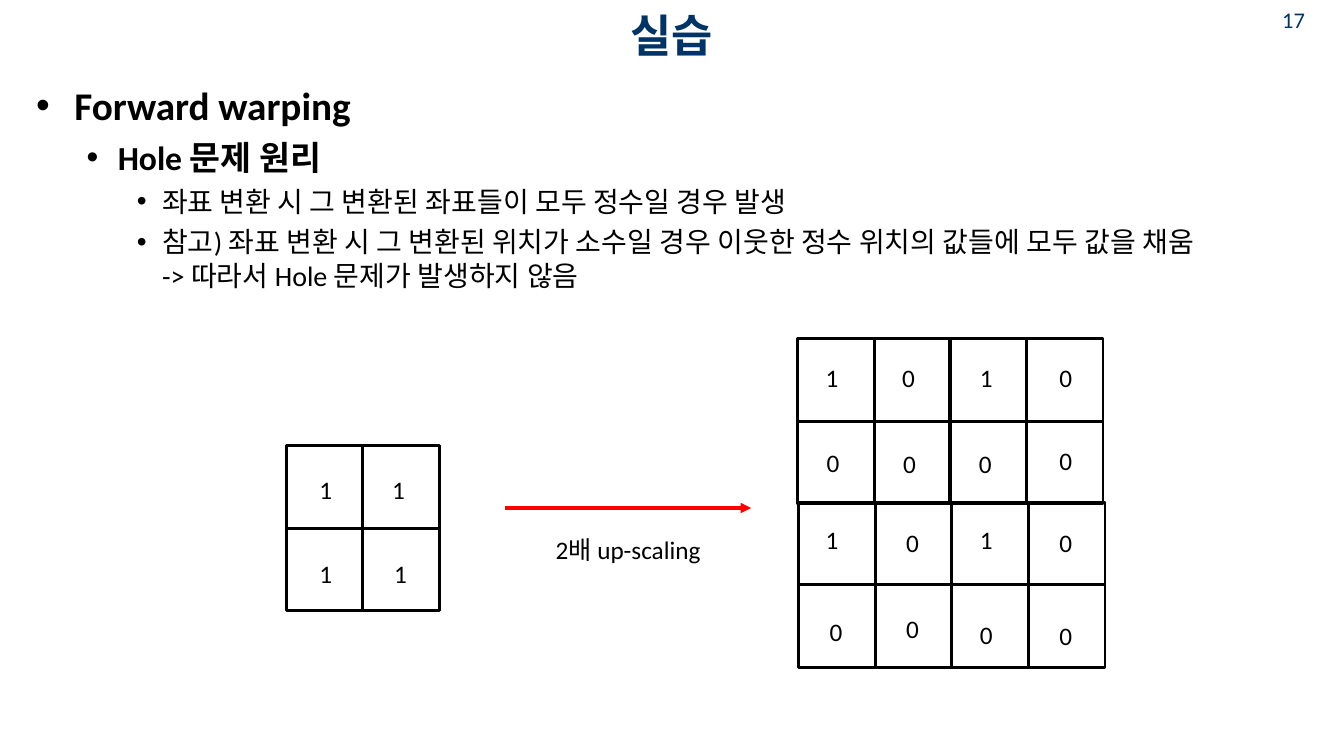
from lxml import etree
from pptx import Presentation
from pptx.dml.color import RGBColor
from pptx.enum.shapes import MSO_CONNECTOR, MSO_SHAPE
from pptx.enum.text import MSO_ANCHOR, MSO_AUTO_SIZE, PP_ALIGN
from pptx.oxml.ns import qn
from pptx.util import Emu, Pt

FONT = "Calibri"
COLORS = {"ink": "000000", "navy": "003366", "red": "FF0000"}
CELL_W, CELL_H = 76, 82

POINTS = [
    (0, 28, True, 38, 38, 0, ["Forward warping"]),
    (1, 24, True, 81, 31, 6, ["Hole 문제 원리"]),
    (2, 20, False, 125, 25, 5, ["좌표 변환 시 그 변환된 좌표들이 모두 정수일 경우 발생"]),
    (2, 20, False, 125, 25, 5, [
        "참고) 좌표 변환 시 그 변환된 위치가 소수일 경우 이웃한 정수 위치의 값들에 모두 값을 채움",
        "-> 따라서 Hole 문제가 발생하지 않음"]),
]

BLOCKS = [
    (284, 442, [("1", 23, 24), ("1", 95, 24), ("1", 23, 107), ("1", 97, 107)]),
    (791, 336, [("1", 18, 19), ("0", 94, 19), ("0", 19, 103), ("0", 95, 104)]),
    (942, 336, [("1", 20, 19), ("0", 99, 19), ("0", 19, 104), ("0", 99, 101)]),
    (792, 498, [("1", 17, 17), ("0", 97, 20), ("0", 21, 109), ("0", 97, 106)]),
    (944, 498, [("1", 18, 17), ("0", 97, 20), ("0", 18, 111), ("0", 97, 112)]),
]


def px(n):
    """Turn px into EMU at 100 px to the inch."""
    return Emu(n * 9144)


def color(name):
    """Return the named colour."""
    return RGBColor.from_string(COLORS[name])


def add_run(para, text, size, tone="ink", bold=False):
    """Add one styled run to a paragraph."""
    run = para.add_run()
    run.text = text
    run.font.name = FONT
    run.font.size = Pt(size)
    run.font.bold = bold
    run.font.color.rgb = color(tone)


def add_frame(slide, box, wrap=True):
    """Add a text box and return its frame."""
    frame = slide.shapes.add_textbox(*map(px, box)).text_frame
    frame.word_wrap = wrap
    return frame


def add_label(slide, box, text, size, tone="ink", bold=False):
    """Add a centred one-paragraph label and return its frame."""
    frame = add_frame(slide, box)
    para = frame.paragraphs[0]
    para.alignment = PP_ALIGN.CENTER
    add_run(para, text, size, tone, bold)
    return frame


def add_header(slide, box):
    """Place the title and the page number in the top band."""
    left, top, width, height = box
    title = add_label(slide, (left + 186, top, 961, height), "실습", 32, "navy", True)
    title.vertical_anchor = MSO_ANCHOR.MIDDLE
    add_label(slide, (left + width - 104, top, 104, 29), "17", 16, "navy")


def add_points(slide, box):
    """Place the bulleted outline."""
    frame = add_frame(slide, box)
    for i, (level, size, bold, margin, hang, gap, lines) in enumerate(POINTS):
        para = frame.add_paragraph() if i else frame.paragraphs[0]
        para.level = level
        para.space_before = Pt(gap)
        props = para._p.get_or_add_pPr()
        props.set("marL", str(px(margin)))
        props.set("indent", str(px(-hang)))
        etree.SubElement(props, qn("a:buFont")).set("typeface", "Arial")
        etree.SubElement(props, qn("a:buChar")).set("char", "•")
        for j, line in enumerate(lines):
            if j:
                para.add_line_break()
            add_run(para, line, size, bold=bold)


def add_block(slide, left, top, digits):
    """Place a two by two block of cells with its digits."""
    group = slide.shapes.add_group_shape()
    for i in range(4):
        row, col = divmod(i, 2)
        cell = group.shapes.add_shape(
            MSO_SHAPE.RECTANGLE, px(left + col * CELL_W), px(top + row * CELL_H),
            px(CELL_W), px(CELL_H))
        cell.shadow.inherit = False
        cell.fill.background()
        cell.line.color.rgb = color("ink")
        cell.line.width = Pt(2)
    for text, x, y in digits:
        frame = add_frame(slide, (left + x, top + y, 33, 40), wrap=False)
        frame.auto_size = MSO_AUTO_SIZE.SHAPE_TO_FIT_TEXT
        add_run(frame.paragraphs[0], text, 18)


def add_scaling(slide, box):
    """Place the red arrow with its caption below."""
    left, top, width, height = box
    arrow = slide.shapes.add_connector(
        MSO_CONNECTOR.STRAIGHT, px(left), px(top), px(left + width), px(top))
    arrow.line.color.rgb = color("red")
    arrow.line.width = Pt(2.5)
    line = arrow.line._get_or_add_ln()
    etree.SubElement(line, qn("a:tailEnd")).set("type", "triangle")
    etree.SubElement(arrow._element.spPr, qn("a:effectLst"))
    frame = add_label(slide, (left + 39, top + 21, 166, height - 21), "2배 up-scaling", 18)
    frame.auto_size = MSO_AUTO_SIZE.SHAPE_TO_FIT_TEXT


def main():
    """Build and save the slide."""
    deck = Presentation()
    deck.slide_width, deck.slide_height = px(1333), px(750)
    slide = deck.slides.add_slide(deck.slide_layouts[6])
    add_header(slide, (0, 1, 1335, 66))
    add_points(slide, (26, 76, 1281, 614))
    for left, top, digits in BLOCKS:
        add_block(slide, left, top, digits)
    add_scaling(slide, (501, 504, 244, 88))
    deck.save("out.pptx")


if __name__ == "__main__":
    main()
